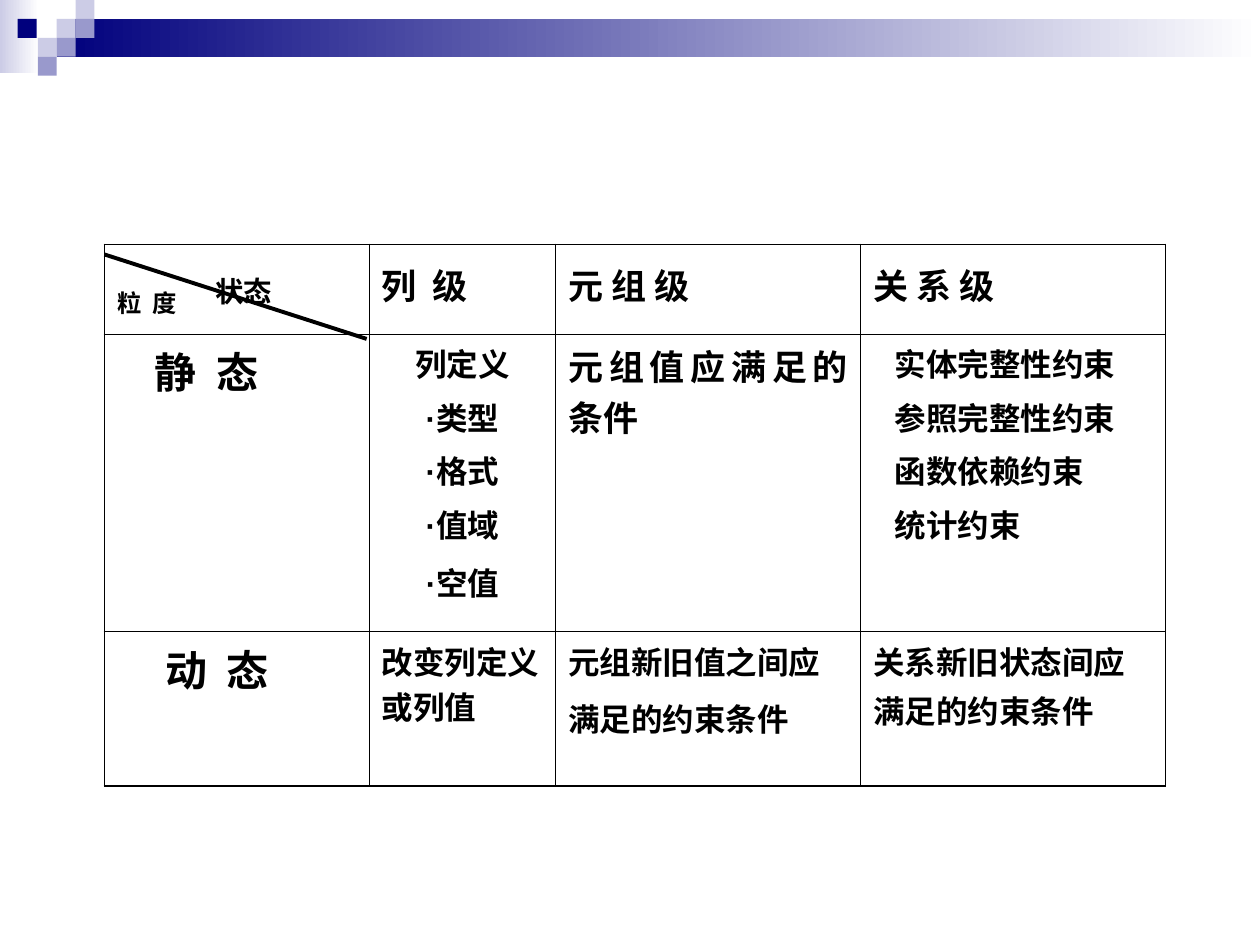
from lxml import etree
from pptx import Presentation
from pptx import util as u
from pptx.dml.color import RGBColor
from pptx.enum import shapes, text
from pptx.oxml.ns import qn

NAVY = RGBColor(0x00, 0x00, 0x7D)
LILAC = RGBColor(0xCC, 0xCC, 0xE6)
VIOLET = RGBColor(0x99, 0x99, 0xCC)
WHITE = RGBColor(0xFF, 0xFF, 0xFF)
BLACK = RGBColor(0x00, 0x00, 0x00)

FONT = "Arial"
CENTER, JUSTIFY = text.PP_ALIGN.CENTER, text.PP_ALIGN.JUSTIFY
THIN, THICK = 0.45, 1.08
COLS = [2.1, 1.48, 2.42, 2.42]
ROWS = [0.71, 2.36, 1.23]
SQUARE = 0.15
SQUARES = [(0.45, 0.15, LILAC), (0.6, 0, LILAC), (0.6, 0.15, VIOLET),
           (0.3, 0.3, LILAC), (0.14, 0.15, NAVY), (0.45, 0.3, VIOLET),
           (0.3, 0.45, VIOLET)]


def add_rect(s, x, y, w, h, color, fade_to=None):
    sp = s.shapes.add_shape(shapes.MSO_SHAPE.RECTANGLE, *map(u.Inches, (x, y, w, h)))
    sp.shadow.inherit = False
    sp.line.fill.background()
    if fade_to is None:
        sp.fill.solid()
        sp.fill.fore_color.rgb = color
    else:
        sp.fill.gradient()
        sp.fill.gradient_angle = 0
        for stop, rgb in zip(sp.fill.gradient_stops, (color, fade_to)):
            stop.color.rgb = rgb


def add_run(p, content, size, baseline=0):
    """Baseline is a shift in thousandths of a percent."""
    r = p.add_run()
    r.text = content
    r.font.name, r.font.size, r.font.bold = FONT, u.Pt(size), True
    r.font.color.rgb = BLACK
    if baseline:
        r._r.get_or_add_rPr().set("baseline", str(baseline))


def write(cell, lines, size=18, before=4.5, align=None, indent=0, tail=None):
    """Add one paragraph per line; tail is the size of a closing space."""
    tf = cell.text_frame
    for line in lines:
        p = tf.paragraphs[0]
        if p.runs:
            p = tf.add_paragraph()
        p.space_before = u.Pt(before)
        p.alignment = align
        if indent:
            p._p.get_or_add_pPr().set("marL", str(u.Inches(indent)))
        add_run(p, line, size)
        if tail:
            add_run(p, " ", tail)


def write_corner(cell):
    """Write both axis names, the second one at a tab stop."""
    p = cell.text_frame.paragraphs[0]
    p.space_before = u.Pt(7)
    tabs = etree.SubElement(p._p.get_or_add_pPr(), qn("a:tabLst"))
    etree.SubElement(tabs, qn("a:tab"), pos=str(u.Inches(0.78)), algn="l")
    add_run(p, "粒  度\t", 24, -12000)
    add_run(p, "状态", 28, 10000)


def set_borders(cell, **widths):
    tcPr = cell._tc.get_or_add_tcPr()
    for i, (side, width) in enumerate(widths.items()):
        ln = etree.Element(qn("a:ln" + side), w=str(u.Pt(width)))
        fill = etree.SubElement(ln, qn("a:solidFill"))
        etree.SubElement(fill, qn("a:srgbClr"), val=str(BLACK))
        tcPr.insert(i, ln)


def add_grid(s, x, y):
    frame = s.shapes.add_table(len(ROWS), len(COLS), *map(
        u.Inches, (x, y, sum(COLS), sum(ROWS))))
    table = frame.table
    table.first_row = table.horz_banding = False
    for col, width in zip(table.columns, COLS):
        col.width = u.Inches(width)
    for row, height in zip(table.rows, ROWS):
        row.height = u.Inches(height)
    last_row, last_col = len(ROWS) - 1, len(COLS) - 1
    for i in range(len(ROWS)):
        for j in range(len(COLS)):
            cell = table.cell(i, j)
            cell.fill.background()
            set_borders(cell, L=THICK if j == 0 else THIN,
                        R=THICK if j == last_col else THIN,
                        T=THICK if i == 0 else THIN,
                        B=THICK if i == last_row else THIN)
    return table


def fill_grid(table):
    cell = table.cell
    write_corner(cell(0, 0))
    for j, level in enumerate(["列  级", "元 组 级", "关 系 级"], start=1):
        write(cell(0, j), [level], size=20, before=6, tail=24)

    write(cell(1, 0), ["静  态"], size=24, before=6, indent=0.3)
    write(cell(1, 1), ["列定义", "·类型", "·格式", "·值域"], align=CENTER)
    write(cell(1, 1), ["·空值"], before=5, indent=0.35, tail=20)
    write(cell(1, 2), ["元组值应满足的条件"], size=20, before=5, align=JUSTIFY)
    write(cell(1, 3), ["实体完整性约束", "参照完整性约束", "函数依赖约束", "统计约束"],
          indent=0.17)

    write(cell(2, 0), ["动  态"], size=24, before=6, indent=0.38)
    write(cell(2, 1), ["改变列定义或列值"])
    write(cell(2, 2), ["元组新旧值之间应满足的约束条件"], before=6, tail=24)
    write(cell(2, 3), ["关系新旧状态间应满足的约束条件"], before=5, tail=20)


def add_line(s, x1, y1, x2, y2, width):
    ln = s.shapes.add_connector(shapes.MSO_CONNECTOR.STRAIGHT,
                                *map(u.Inches, (x1, y1, x2, y2)))
    ln.line.color.rgb = BLACK
    ln.line.width = u.Pt(width)
    etree.SubElement(ln._element.spPr, qn("a:effectLst"))


def main():
    prs = Presentation()
    prs.slide_width, prs.slide_height = u.Inches(10), u.Inches(7.5)
    s = prs.slides.add_slide(prs.slide_layouts[6])
    add_rect(s, 0, 0, 0.31, 0.58, LILAC, fade_to=WHITE)
    add_rect(s, 0.45, 0.15, 9.55, 0.3, NAVY, fade_to=WHITE)
    for x, y, color in SQUARES:
        add_rect(s, x, y, SQUARE, SQUARE, color)
    fill_grid(add_grid(s, 0.83, 1.94))
    add_line(s, 0.83, 2.02, 2.91, 2.69, 2.25)
    prs.save("out.pptx")


if __name__ == "__main__":
    main()
